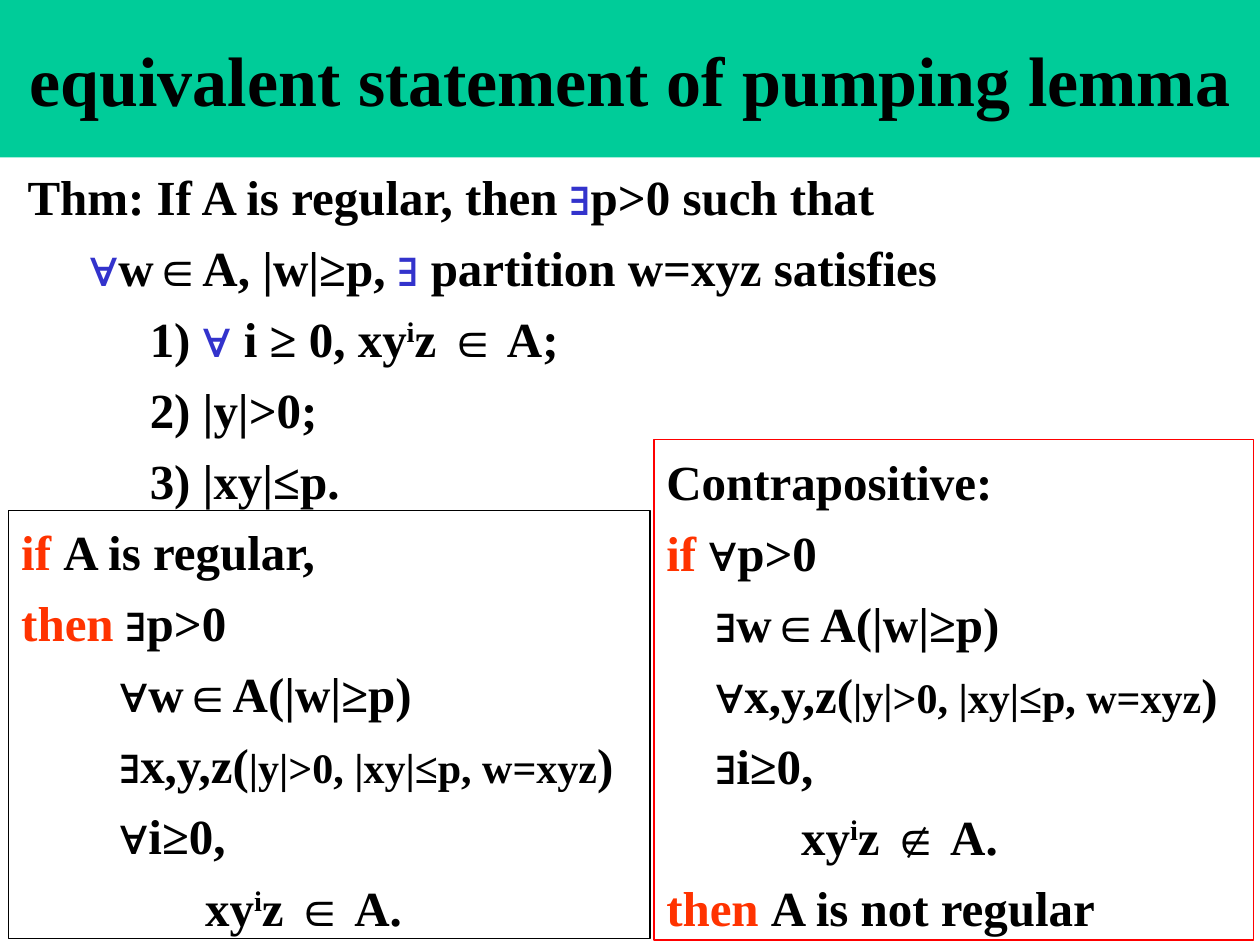
from pptx import Presentation
from pptx.dml.color import RGBColor
from pptx.enum.shapes import MSO_SHAPE
from pptx.enum.text import MSO_ANCHOR, MSO_AUTO_SIZE, PP_ALIGN
from pptx.util import Inches, Pt

GREEN = RGBColor(0x00, 0xCC, 0x99)
BLACK = RGBColor(0x00, 0x00, 0x00)
BLUE = RGBColor(0x33, 0x33, 0xCC)
RED = RGBColor(0xFF, 0x33, 0x00)
BORDER_RED = RGBColor(0xFF, 0x00, 0x00)

# Run styles: size in points, colour, superscript
NORMAL = (28, BLACK, False)
TITLE = (40, BLACK, False)
QUANTIFIER = (28, BLUE, False)
KEYWORD = (28, RED, False)
SMALL = (24, BLACK, False)
SUPERSCRIPT = (28, BLACK, True)


def add_run(paragraph, text, style):
    size, colour, raised = style
    run = paragraph.add_run()
    run.text = text
    formats = {"name": "Times New Roman", "size": Pt(size), "bold": True}
    for name, value in formats.items():
        setattr(run.font, name, value)
    run.font.color.rgb = colour
    if raised:
        run.font._element.set("baseline", "30000")


def fill_text(shape, lines):
    """Write lines given as (indent in inches, [(text, style), ...])."""
    frame = shape.text_frame
    formats = {"word_wrap": True, "auto_size": MSO_AUTO_SIZE.NONE,
               "vertical_anchor": MSO_ANCHOR.TOP, "margin_top": Inches(0.09)}
    for name, value in formats.items():
        setattr(frame, name, value)
    for index, (indent, runs) in enumerate(lines):
        paragraph = frame.add_paragraph() if index else frame.paragraphs[0]
        paragraph.alignment = PP_ALIGN.LEFT
        paragraph.space_before = Pt(7 if index else 0)
        properties = paragraph._p.get_or_add_pPr()
        properties.set("marL", str(Inches(indent)))
        properties.set("indent", "0")
        for text, style in runs:
            add_run(paragraph, text, style)


presentation = Presentation()
presentation.slide_width = Inches(10)
presentation.slide_height = Inches(7.5)
slide = presentation.slides.add_slide(presentation.slide_layouts[5])

# Title band
title = slide.shapes.title
title.left, title.top = Inches(0), Inches(0)
title.width, title.height = Inches(10), Inches(1.25)
title.fill.solid()
title.fill.fore_color.rgb = GREEN
title.text_frame.vertical_anchor = MSO_ANCHOR.MIDDLE
title.text_frame.word_wrap = True
title_paragraph = title.text_frame.paragraphs[0]
title_paragraph.alignment = PP_ALIGN.CENTER
add_run(title_paragraph, "equivalent statement of pumping lemma", TITLE)

# Theorem
theorem = slide.shapes.add_textbox(Inches(0.12), Inches(1.23), Inches(7.58), Inches(2.83))
fill_text(theorem, [
    (0, [("Thm: If A is regular, then ", NORMAL), ("∃", QUANTIFIER),
         ("p>0 such that", NORMAL)]),
    (0.49, [("∀", QUANTIFIER), ("w∈A, |w|≥p, ", NORMAL), ("∃ ", QUANTIFIER),
            ("partition w=xyz satisfies", NORMAL)]),
    (0.97, [("1) ", NORMAL), ("∀ ", QUANTIFIER), ("i ≥ 0, xy", NORMAL),
            ("i", SUPERSCRIPT), ("z ∈ A;", NORMAL)]),
    (0.97, [("2) |y|>0;", NORMAL)]),
    (0.97, [("3) |xy|≤p.", NORMAL)]),
])

# The statement and its contrapositive
partition = [("|y|>0, |xy|≤p, w=xyz", SMALL), (")", NORMAL)]
pumped = [("xy", NORMAL), ("i", SUPERSCRIPT)]
statement_lines = [
    (0, [("if ", KEYWORD), ("A is regular,", NORMAL)]),
    (0, [("then ", KEYWORD), ("∃p>0", NORMAL)]),
    (0.78, [("∀w∈A(|w|≥p)", NORMAL)]),
    (0.78, [("∃x,y,z(", NORMAL)] + partition),
    (0.78, [("∀i≥0,", NORMAL)]),
    (1.46, pumped + [("z ∈ A.", NORMAL)]),
]
contrapositive_lines = [
    (0, [("Contrapositive:", NORMAL)]),
    (0, [("if ", KEYWORD), ("∀p>0", NORMAL)]),
    (0.39, [("∃w∈A(|w|≥p)", NORMAL)]),
    (0.39, [("∀x,y,z(", NORMAL)] + partition),
    (0.39, [("∃i≥0,", NORMAL)]),
    (1.07, pumped + [("z ∉ A.", NORMAL)]),
    (0, [("then ", KEYWORD), ("A is not regular", NORMAL)]),
]
boxes = [
    ((0.07, 4.05, 5.09, 3.4), BLACK, statement_lines),
    ((5.19, 3.49, 4.76, 3.97), BORDER_RED, contrapositive_lines),
]
for bounds, border, lines in boxes:
    box = slide.shapes.add_shape(MSO_SHAPE.RECTANGLE, *map(Inches, bounds))
    box.shadow.inherit = False
    box.fill.background()
    box.line.color.rgb = border
    box.line.width = Pt(0.75)
    fill_text(box, lines)

presentation.save("out.pptx")
